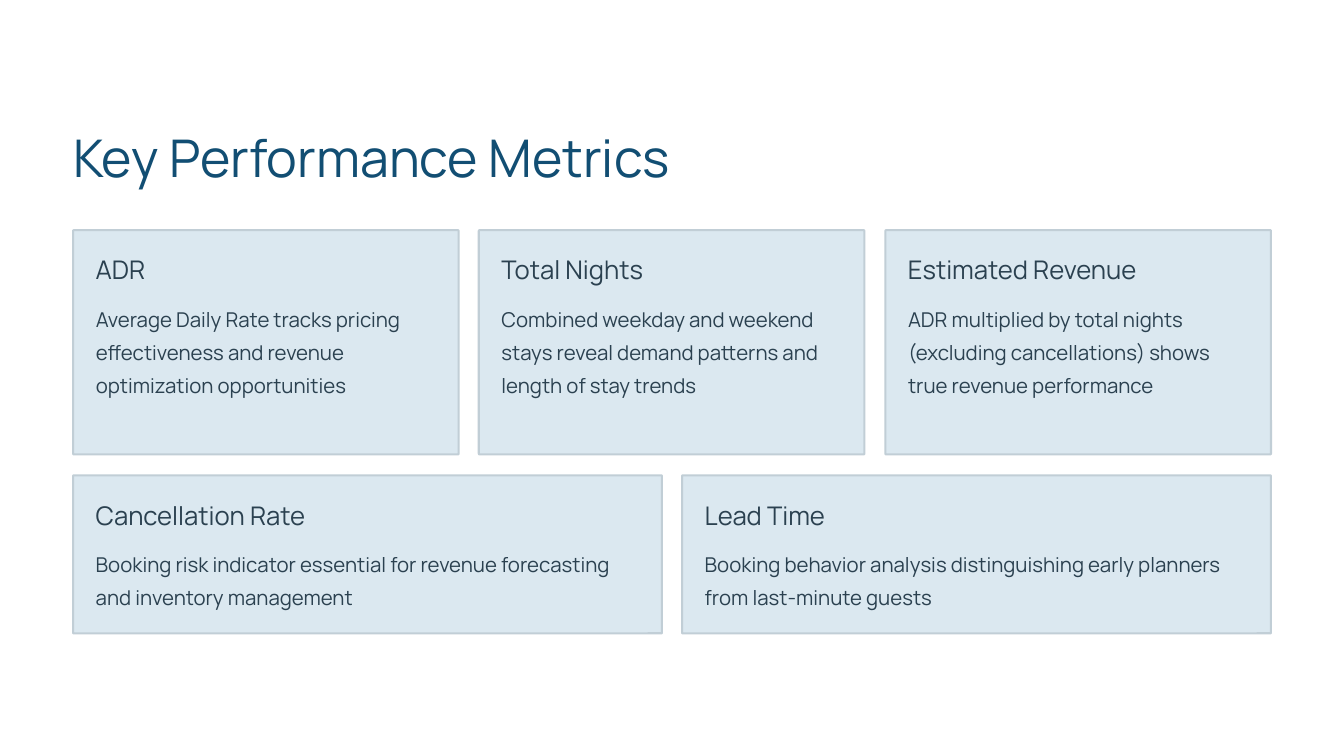
from pptx import Presentation
from pptx import util as u
from pptx.dml import color
from pptx.enum import shapes, text

COLORS = {
    "page": "FFFFFF",
    "title": "124E73",
    "ink": "2B4150",
    "card": "DBE8F0",
    "border": "C1CED6",
}
FONT = "Manrope"
LEFT, SPAN, GAP, PAD = 87, 1426, 24, 27
ROWS = [
    (274, 267, [
        ("ADR", "Average Daily Rate tracks pricing effectiveness and revenue "
                "optimization opportunities"),
        ("Total Nights", "Combined weekday and weekend stays reveal demand "
                         "patterns and length of stay trends"),
        ("Estimated Revenue", "ADR multiplied by total nights (excluding "
                              "cancellations) shows true revenue performance"),
    ]),
    (566, 188, [
        ("Cancellation Rate", "Booking risk indicator essential for revenue "
                              "forecasting and inventory management"),
        ("Lead Time", "Booking behavior analysis distinguishing early planners "
                      "from last-minute guests"),
    ]),
]


def px(*lengths):
    return [u.Emu(length * 9144) for length in lengths]


def rgb(name):
    return color.RGBColor.from_string(COLORS[name])


class MetricsSlide:
    def __init__(self, deck):
        self.slide = deck.slides.add_slide(deck.slide_layouts[6])
        background = self.slide.background.fill
        background.solid()
        background.fore_color.rgb = rgb("page")

    def label(self, wording, box, size, leading, ink="ink", wrap=False):
        frame = self.slide.shapes.add_textbox(*px(*box)).text_frame
        frame.margin_left = frame.margin_right = 0
        frame.margin_top = frame.margin_bottom = 0
        frame.vertical_anchor = text.MSO_ANCHOR.TOP
        frame.word_wrap = wrap
        frame.text = wording
        paragraph = frame.paragraphs[0]
        paragraph.alignment = text.PP_ALIGN.LEFT
        paragraph.line_spacing = u.Pt(leading)
        font = paragraph.runs[0].font
        font.name = FONT
        font.size = u.Pt(size)
        font.color.rgb = rgb(ink)

    def card(self, heading, body, left, top, width, height):
        panel = self.slide.shapes.add_shape(
            shapes.MSO_SHAPE.ROUNDED_RECTANGLE, *px(left, top, width, height))
        panel.adjustments[0] = 0.004
        panel.shadow.inherit = False
        panel.fill.solid()
        panel.fill.fore_color.rgb = rgb("card")
        panel.line.color.rgb = rgb("border")
        panel.line.width = u.Pt(1.8)
        inner = left + PAD
        self.label(heading, (inner, top + PAD, 310, 39), 22, 27.5)
        self.label(body, (inner, top + 81, width - 2 * PAD, height - 81 - PAD),
                   17.5, 28.5, wrap=True)

    def card_row(self, top, height, metrics):
        pitch = (SPAN + GAP) / len(metrics)
        for column, (heading, body) in enumerate(metrics):
            left = LEFT + round(column * pitch)
            self.card(heading, body, left, top, round(pitch) - GAP, height)


def main():
    deck = Presentation()
    deck.slide_width, deck.slide_height = px(1600, 900)
    metrics_slide = MetricsSlide(deck)
    metrics_slide.label("Key Performance Metrics", (LEFT, 147, 777, 78),
                        44.5, 55.5, ink="title")
    for top, height, metrics in ROWS:
        metrics_slide.card_row(top, height, metrics)
    deck.save("out.pptx")


if __name__ == "__main__":
    main()
